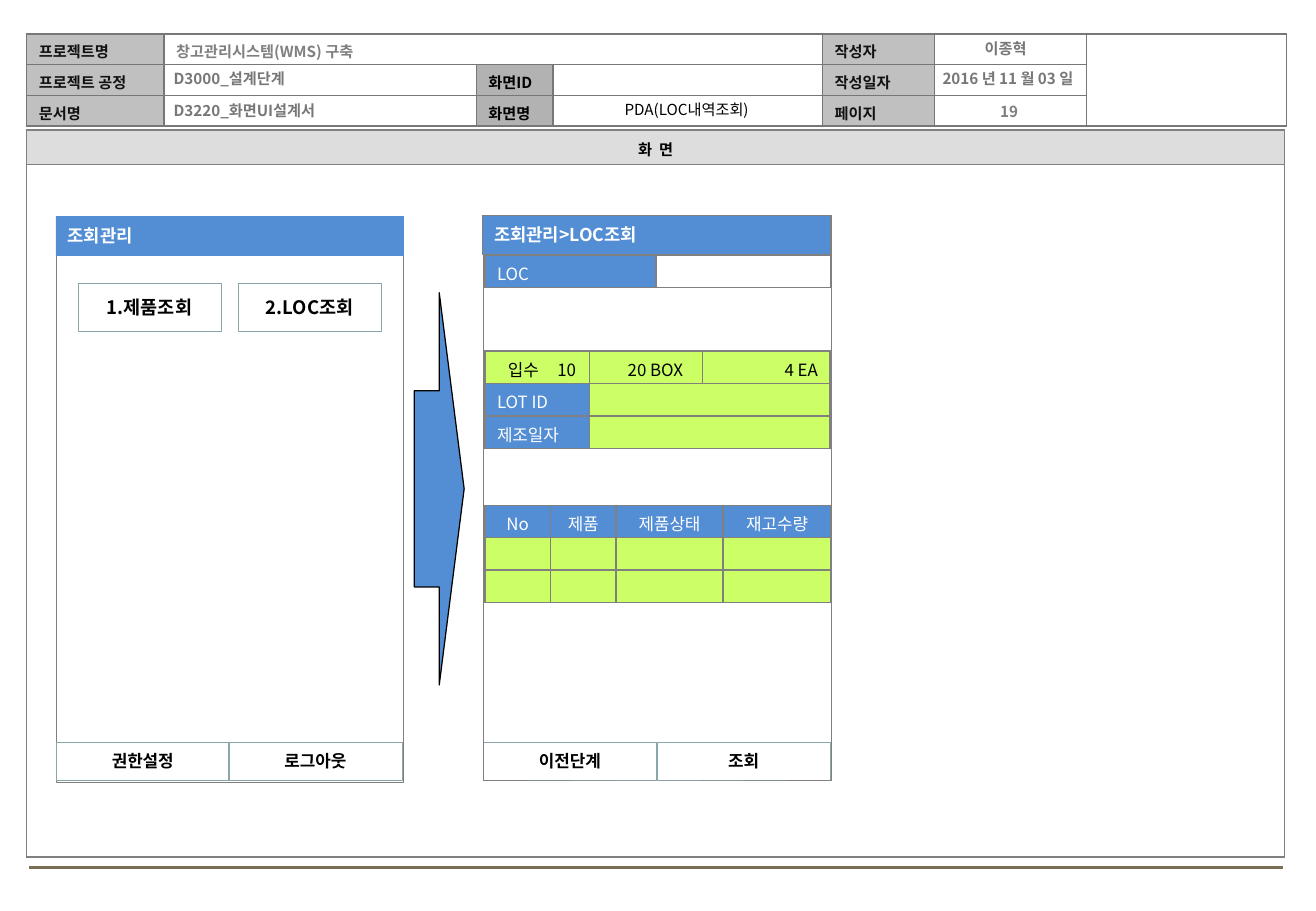
from dataclasses import dataclass
from functools import partial

import lxml.etree
import pptx
import pptx.dml.color
import pptx.enum.shapes
import pptx.enum.text
import pptx.oxml.ns
import pptx.util

# Slide grid: columns and rows of a tenth of an inch
GRID_COLUMNS, GRID_ROWS = 108.3, 75
UNIT = pptx.util.Inches(0.1)

FONT = "Noto Sans CJK KR"
BLUE, LIME, WHITE, BLACK = "538ED5", "CCFF66", "FFFFFF", "000000"
GRAY, BUTTON_LINE = "808080", "8AA6A8"
LABEL_FILL, SCREEN_FILL, LABEL_INK, ENTRY_INK = "C0C0C0", "B2B2B2", "111111", "777777"

LEFT = pptx.enum.text.PP_ALIGN.LEFT
CENTER = pptx.enum.text.PP_ALIGN.CENTER
RIGHT = pptx.enum.text.PP_ALIGN.RIGHT
MIDDLE = pptx.enum.text.MSO_ANCHOR.MIDDLE
RECTANGLE = pptx.enum.shapes.MSO_SHAPE.RECTANGLE
ARROW = pptx.enum.shapes.MSO_SHAPE.RIGHT_ARROW

Place = tuple[float, float, float, float]  # left, top, width, height on the grid


@dataclass
class Words:
    text: str = ""
    size: float = 9
    color: str = BLACK
    bold: bool = False
    align: int = LEFT
    spread: int = 0  # letter spacing in hundredths of a point
    tab: float = 0  # right tab stop in grid columns


@dataclass
class Cell:
    words: Words
    fill: str | None = None
    left: float = 1
    right: float = 1


@dataclass
class Table:
    at: tuple[float, float]
    columns: list[float]
    rows: list[float]
    cells: list[list[Cell]]
    merges: tuple = ()
    line: str = GRAY


@dataclass
class Block:
    at: Place
    words: Words
    fill: str | None = None
    line: str = GRAY
    line_width: float = 0.25
    kind: int = RECTANGLE


def grid(value: float) -> int:
    return round(value * UNIT)


def rgb(value: str) -> pptx.dml.color.RGBColor:
    return pptx.dml.color.RGBColor.from_string(value)


def add_xml(parent, tag: str, **attributes: str):
    return lxml.etree.SubElement(parent, pptx.oxml.ns.qn(tag), **attributes)


def set_fill(target, color: str | None) -> None:
    if color is None:
        target.fill.background()
    else:
        target.fill.solid()
        target.fill.fore_color.rgb = rgb(color)


def write(frame, words: Words) -> None:
    frame.text = words.text
    para = frame.paragraphs[0]
    para.alignment = words.align
    if words.tab:
        tabs = add_xml(para._p.get_or_add_pPr(), "a:tabLst")
        add_xml(tabs, "a:tab", pos=str(grid(words.tab)), algn="r")
    if not words.text:
        add_xml(para._p, "a:endParaRPr", sz=str(round(words.size * 100)))
    for span in para.runs:
        span.font.size = pptx.util.Pt(words.size)
        span.font.bold = words.bold
        span.font.color.rgb = rgb(words.color)
        span.font.name = FONT
        properties = span._r.get_or_add_rPr()
        add_xml(properties, "a:ea", typeface=FONT)
        if words.spread:
            properties.set("spc", str(words.spread))


def draw_table(page, table: Table) -> None:
    frame = page.shapes.add_table(
        len(table.rows), len(table.columns), *map(grid, table.at),
        grid(sum(table.columns)), grid(sum(table.rows)))
    body = frame.table
    body.first_row = body.horz_banding = False
    for column, width in zip(body.columns, table.columns):
        column.width = grid(width)
    for row, height in zip(body.rows, table.rows):
        row.height = grid(height)
    for row, cells in enumerate(table.cells):
        for column, cell in enumerate(cells):
            target = body.cell(row, column)
            write(target.text_frame, cell.words)
            target.vertical_anchor = MIDDLE
            target.margin_left, target.margin_right = grid(cell.left), grid(cell.right)
            target.margin_top, target.margin_bottom = grid(0.3), 0
            for side in ("a:lnL", "a:lnR", "a:lnT", "a:lnB"):
                border = add_xml(target._tc.get_or_add_tcPr(), side, w="12700")
                add_xml(add_xml(border, "a:solidFill"), "a:srgbClr", val=table.line)
            set_fill(target, cell.fill)
    for first, last in table.merges:
        body.cell(*first).merge(body.cell(*last))


def draw_block(page, block: Block) -> None:
    box = page.shapes.add_shape(block.kind, *map(grid, block.at))
    box.shadow.inherit = False
    set_fill(box, block.fill)
    box.line.color.rgb = rgb(block.line)
    box.line.width = pptx.util.Pt(block.line_width)
    box.text_frame.vertical_anchor = MIDDLE
    box.text_frame.word_wrap = True
    write(box.text_frame, block.words)


def place_text(box, at: Place, words: Words) -> None:
    box.left, box.top, box.width, box.height = map(grid, at)
    frame = box.text_frame
    frame.word_wrap = True
    frame.auto_size = pptx.enum.text.MSO_AUTO_SIZE.NONE
    frame.vertical_anchor = MIDDLE
    write(frame, words)


def cell(text: str = "", fill: str | None = None, color: str = BLACK, size: float = 10,
         align: int = LEFT, bold: bool = False, **more: float) -> Cell:
    return Cell(Words(text, size, color, bold, align), fill, **more)


# Cell and block styles
label = partial(cell, fill=LABEL_FILL, color=LABEL_INK, size=9, bold=True)
screen_label = partial(label, fill=SCREEN_FILL, color=BLACK)
field = partial(cell, fill=BLUE, color=WHITE)
value = partial(cell, fill=LIME, align=RIGHT)
entry = partial(Words, color=ENTRY_INK, bold=True)
blank = cell(size=9)


def button(text: str, at: Place, size: float = 10) -> Block:
    return Block(at, Words(text, size, BLACK, True, CENTER), line=BUTTON_LINE)


def panel_title(text: str, at: Place, line: str = GRAY) -> Block:
    return Block(at, Words(text, 10.5, WHITE, True), BLUE, line)


HEADER = Table((2.2, 2.8), [11.3, 25.7, 6.3, 22.2, 9.2, 12.5, 16.5], [2.53] * 3, [
    [label("프로젝트명"), cell("창고관리시스템(WMS) 구축", None, GRAY, 9, bold=True),
     blank, blank, label("작성자"), blank, blank],
    [label("프로젝트 공정"), blank, screen_label("화면ID"), blank, label("작성일자"), blank, blank],
    [label("문서명"), blank, screen_label("화면명"), blank, label("페이지"), blank, blank],
], (((0, 1), (0, 3)), ((0, 6), (2, 6))), "777777")

SCREEN = Table((2.2, 10.7), [103.5], [2.85, 57], [
    [Cell(Words("화 면", bold=True, align=CENTER, spread=100), "DDDDDD")], [blank]])

HEADER_ENTRIES = [
    ((13.3, 5.2, 54.2, 2.5), entry("D3000_설계단계")),
    ((13.3, 7.8, 54.1, 2.5), entry("D3220_화면UI설계서")),
    ((76.8, 7.9, 12.5, 2.5), entry("19", color="7F7F7F", align=CENTER)),
    ((75.1, 5.2, 15.7, 2.5), entry("2016 년 11 월 03 일", align=CENTER)),
    ((74.9, 2.7, 15.7, 2.5), entry("이종혁", align=CENTER)),
]

# Location screen
LOCATION_BLOCKS = [
    button("조회", (54.1, 61.1, 14.2, 3.1)),
    button("이전단계", (39.8, 61.1, 14.2, 3.1)),
    Block((39.8, 17.7, 28.6, 46.5), Words()),
    panel_title("조회관리>LOC조회", (39.7, 17.7, 28.6, 3.2)),
]
LOCATION_TABLES = [
    Table((39.9, 21), [14.1, 14.4], [2.67], [[field("LOC"), cell()]]),
    Table((39.9, 41.6), [5.4, 5.4, 8.8, 8.9], [2.67] * 3, [
        [field(name, align=CENTER) for name in ("No", "제품", "제품상태", "재고수량")],
        *[[value()] * 4] * 2]),
    Table((39.9, 28.9), [8.6, 9.3, 10.5], [2.67] * 3, [
        [Cell(Words("입수\t10", 10, tab=5.6), LIME, left=1.9),
         value("20 BOX", right=1.6), value("4 EA")],
        *[[field(name), value(), value()] for name in ("LOT ID", "제조일자")],
    ], (((1, 1), (1, 2)), ((2, 1), (2, 2)))),
]

# Menu screen
MENU_BLOCKS = [
    Block((4.6, 17.9, 28.6, 46.5), Words()),
    button("로그아웃", (18.8, 61.1, 14.3, 3.1)),
    button("권한설정", (4.6, 61.1, 14.3, 3.1)),
    button("1.제품조회", (6.4, 23.3, 11.8, 4), 11),
    Block((34.1, 24.1, 4.1, 32.3), Words(), BLUE, BLACK, 0.75, ARROW),
    panel_title("조회관리", (4.6, 17.8, 28.6, 3.2), BLUE),
    button("2.LOC조회", (19.6, 23.3, 11.8, 4), 11),
]


def main() -> None:
    deck = pptx.Presentation()
    deck.slide_width, deck.slide_height = grid(GRID_COLUMNS), grid(GRID_ROWS)
    page = deck.slides.add_slide(deck.slide_layouts.get_by_name("Title Only"))

    # Screen name in the header
    place_text(page.shapes.title, (45.6, 7.8, 21.8, 2.5), Words("PDA(LOC내역조회)", align=CENTER))

    # Footer rule
    rule = page.shapes.add_connector(
        pptx.enum.shapes.MSO_CONNECTOR.STRAIGHT, *map(grid, (2.4, 71.4, 105.6, 71.4)))
    rule.line.color.rgb = rgb("7A6F54")
    rule.line.width = pptx.util.Pt(1.75)
    add_xml(rule._element.spPr, "a:effectLst")

    # Document header and screen frame
    draw_table(page, HEADER)
    draw_table(page, SCREEN)
    for at, words in HEADER_ENTRIES:
        place_text(page.shapes.add_textbox(0, 0, 0, 0), at, words)

    # Location screen, then menu screen
    for block in LOCATION_BLOCKS:
        draw_block(page, block)
    for table in LOCATION_TABLES:
        draw_table(page, table)
    for block in MENU_BLOCKS:
        draw_block(page, block)

    deck.save("out.pptx")


if __name__ == "__main__":
    main()
